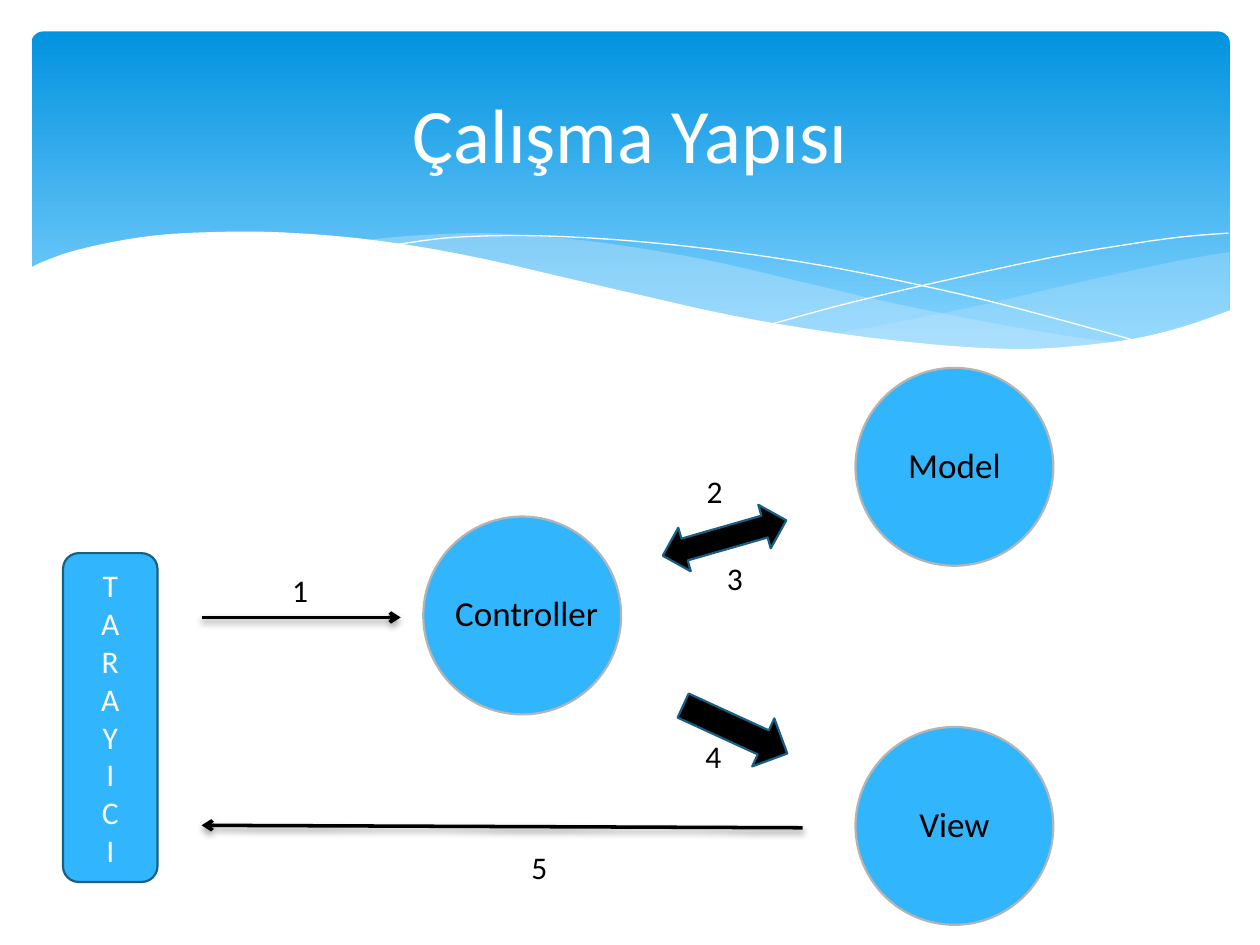
from dataclasses import dataclass

import pptx
import pptx.dml.color
import pptx.enum.shapes
import pptx.enum.text
import pptx.util
from lxml import etree

Inches, Pt = pptx.util.Inches, pptx.util.Pt
RGBColor = pptx.dml.color.RGBColor
SHAPE = pptx.enum.shapes.MSO_SHAPE
CENTER = pptx.enum.text.PP_ALIGN.CENTER
MIDDLE = pptx.enum.text.MSO_ANCHOR.MIDDLE

WHITE = RGBColor(0xFF, 0xFF, 0xFF)
BLACK = RGBColor(0x00, 0x00, 0x00)
BLUE = RGBColor(0x31, 0xB6, 0xFD)
DARK_BLUE = RGBColor(0x19, 0x5F, 0x84)
GREY = RGBColor(0xB4, 0xB4, 0xB4)
PALE_BLUE = RGBColor(0xC6, 0xE7, 0xFC)
SKY_TOP = RGBColor(0x02, 0x93, 0xE0)
SKY_BOTTOM = RGBColor(0x83, 0xD3, 0xFE)

FONT = "Calibri"
NS = "http://schemas.openxmlformats.org/drawingml/2006/main"
CIRCLE = 1.57

Point = tuple[float, float]


@dataclass
class Wave:
    """Smooth curves joined end to end; filled if it has a colour, else a hairline."""
    curves: list[list[Point]]
    fill: RGBColor | None = None
    opacity: int = 100


@dataclass
class Node:
    name: str
    x: float
    y: float
    label_x: float
    label_w: float


@dataclass
class BlockArrow:
    kind: SHAPE
    x: float
    y: float
    w: float
    h: float
    rotation: float


@dataclass
class Step:
    number: str
    x: float
    y: float
    w: float


WAVES = [
    Wave([[(9.76, 2), (9.35, 2.07), (8.61, 2.23), (7.79, 2.42), (7.06, 2.57), (6.61, 2.65)],
          [(6.61, 2.65), (7.05, 2.71), (7.57, 2.76), (8.03, 2.78), (8.54, 2.76),
           (8.97, 2.7), (9.35, 2.62), (9.76, 2.47)]], PALE_BLUE, 29),
    Wave([[(8.93, 2.73), (8.37, 2.65), (7.75, 2.54), (7.06, 2.4), (6.29, 2.22), (5.69, 2.08),
           (5.14, 1.98), (4.65, 1.91), (4.2, 1.87), (3.8, 1.85), (3.28, 1.87), (2.86, 1.91)],
          [(2.86, 1.91), (3.42, 1.99), (4.04, 2.11), (4.91, 2.32), (5.66, 2.48), (6.34, 2.61),
           (6.95, 2.7), (7.48, 2.76), (8.07, 2.78), (8.57, 2.77), (8.93, 2.73)]],
         PALE_BLUE, 40),
    Wave([[(3.09, 1.95), (3.53, 1.89), (4.01, 1.87), (4.5, 1.88), (5.1, 1.92), (5.82, 2),
           (6.65, 2.13), (7.6, 2.33), (8.31, 2.51), (9.07, 2.72)]]),
    Wave([[(6.13, 2.57), (6.72, 2.41), (7.48, 2.23), (8.36, 2.04), (8.95, 1.94),
           (9.38, 1.88), (9.75, 1.85)]]),
    Wave([[(9.77, 2.46), (9.4, 2.59), (8.99, 2.69), (8.5, 2.75), (8.09, 2.77), (7.61, 2.75),
           (7.08, 2.7), (6.48, 2.62), (5.79, 2.5), (5.03, 2.33), (4.47, 2.2), (3.91, 2.07),
           (3.4, 1.97), (2.92, 1.9), (2.5, 1.86), (2.11, 1.84), (1.77, 1.84), (1.32, 1.86),
           (0.95, 1.91), (0.59, 1.99), (0.36, 2.07), (0.23, 2.13)],
          [(0.23, 3.29), (9.77, 3.29)]], WHITE),
]
NODES = [
    Node("Controller", 3.36, 4.1, 3.36, 1.64),
    Node("Model", 6.79, 2.92, 6.7, 1.75),
    Node("View", 6.79, 5.77, 6.7, 1.75),
]
BLOCK_ARROWS = [
    BlockArrow(SHAPE.UP_DOWN_ARROW, 5.57, 3.76, 0.36, 1.02, 254),
    BlockArrow(SHAPE.RIGHT_ARROW, 5.38, 5.58, 0.91, 0.42, 24.7),
]
ARROWS = [((1.6, 4.9), (3.18, 4.9)), ((6.37, 6.57), (1.6, 6.55))]
STEPS = [
    Step("1", 2.22, 4.48, 0.29),
    Step("2", 5.51, 3.7, 0.32),
    Step("3", 5.67, 4.39, 0.32),
    Step("4", 5.5, 5.8, 0.34),
    Step("5", 4.12, 6.68, 0.34),
]


def smooth(pts: list[Point], steps: int = 6) -> list[Point]:
    """Catmull-Rom curve through the points."""
    ends = [pts[0], *pts, pts[-1]]
    out = [pts[0]]
    for a, b, c, d in zip(ends, ends[1:], ends[2:], ends[3:]):
        for i in range(1, steps + 1):
            t = i / steps
            out.append(tuple(
                q + t / 2 * (r - p + t * (2 * p - 5 * q + 4 * r - s + t * (3 * (q - r) + s - p)))
                for p, q, r, s in zip(a, b, c, d)))
    return out


def add_shape(shapes, kind: SHAPE, x: float, y: float, w: float, h: float,
              fill: RGBColor, line: RGBColor):
    s = shapes.add_shape(kind, Inches(x), Inches(y), Inches(w), Inches(h))
    s.shadow.inherit = False
    s.fill.solid()
    s.fill.fore_color.rgb = fill
    s.line.color.rgb = line
    s.line.width = Pt(1.25)
    return s


def add_run(p, text: str, size: float, color: RGBColor) -> None:
    r = p.add_run()
    r.text = text
    r.font.name = FONT
    r.font.size = Pt(size)
    r.font.color.rgb = color


def add_sky(shapes) -> None:
    s = add_shape(shapes, SHAPE.ROUNDED_RECTANGLE, 0.25, 0.25, 9.51, 2.7, SKY_TOP, SKY_TOP)
    s.adjustments[0] = 0.034
    s.line.fill.background()
    s.fill.gradient()
    s.fill.gradient_angle = 270
    for stop, pos, color in zip(s.fill.gradient_stops, (0, 0.9), (SKY_TOP, SKY_BOTTOM)):
        stop.position = pos
        stop.color.rgb = color


def add_wave(shapes, wave: Wave) -> None:
    pts = [(Inches(x), Inches(y)) for curve in wave.curves for x, y in smooth(curve)]
    builder = shapes.build_freeform(*pts[0])
    builder.add_line_segments(pts[1:], close=wave.fill is not None)
    s = builder.convert_to_shape()
    s.shadow.inherit = False
    if wave.fill is None:
        s.fill.background()
        s.line.color.rgb = WHITE
        s.line.width = Pt(0)
        return
    s.line.fill.background()
    s.fill.solid()
    s.fill.fore_color.rgb = wave.fill
    color = s.element.spPr.find(f"{{{NS}}}solidFill/{{{NS}}}srgbClr")
    etree.SubElement(color, f"{{{NS}}}alpha", val=str(wave.opacity * 1000))


def add_node(shapes, node: Node) -> None:
    add_shape(shapes, SHAPE.OVAL, node.x, node.y, CIRCLE, CIRCLE, BLUE, GREY)
    box = shapes.add_textbox(Inches(node.label_x), Inches(node.y + 0.23),
                             Inches(node.label_w), Inches(1.11))
    tf = box.text_frame
    tf.word_wrap = True
    tf.vertical_anchor = MIDDLE
    tf.margin_left = tf.margin_right = tf.margin_top = tf.margin_bottom = Inches(0.02)
    p = tf.paragraphs[0]
    p.alignment = CENTER
    p.line_spacing = 0.9
    add_run(p, node.name, 20, BLACK)


def add_arrow(shapes, start: Point, end: Point) -> None:
    c = shapes.add_connector(pptx.enum.shapes.MSO_CONNECTOR.STRAIGHT,
                             *(Inches(v) for v in (*start, *end)))
    c.line.color.rgb = BLACK
    c.line.width = Pt(2)
    etree.SubElement(c.line._get_or_add_ln(), f"{{{NS}}}tailEnd", type="arrow")
    effects = etree.SubElement(c.element.spPr, f"{{{NS}}}effectLst")
    shadow = etree.SubElement(effects, f"{{{NS}}}outerShdw", blurRad=str(Pt(4)),
                              dist=str(Pt(2)), dir="5400000", rotWithShape="0")
    color = etree.SubElement(shadow, f"{{{NS}}}srgbClr", val=str(BLACK))
    etree.SubElement(color, f"{{{NS}}}alpha", val="38000")


def add_step(shapes, step: Step) -> None:
    box = shapes.add_textbox(Inches(step.x), Inches(step.y), Inches(step.w), Inches(0.4))
    tf = box.text_frame
    tf.word_wrap = False
    tf.auto_size = pptx.enum.text.MSO_AUTO_SIZE.SHAPE_TO_FIT_TEXT
    add_run(tf.paragraphs[0], step.number, 18, BLACK)


def add_browser(shapes) -> None:
    s = add_shape(shapes, SHAPE.ROUNDED_RECTANGLE, 0.5, 4.39, 0.75, 2.61, BLUE, DARK_BLUE)
    s.text_frame.vertical_anchor = MIDDLE
    p = s.text_frame.paragraphs[0]
    p.alignment = CENTER
    for i, letter in enumerate("TARAYICI"):
        if i:
            p.add_line_break()
        add_run(p, letter, 18, WHITE)


def add_title(slide, text: str) -> None:
    title = slide.shapes.title
    slide.shapes.element.append(title.element)  # bring in front of the waves
    title.left, title.top, title.width, title.height = map(Inches, (0.5, 0.37, 9, 1.37))
    title.text_frame.vertical_anchor = MIDDLE
    p = title.text_frame.paragraphs[0]
    p.alignment = CENTER
    add_run(p, text, 44, WHITE)


def main() -> None:
    prs = pptx.Presentation()
    prs.slide_width, prs.slide_height = Inches(10), Inches(7.5)
    slide = prs.slides.add_slide(prs.slide_layouts[5])
    shapes = slide.shapes
    add_sky(shapes)
    for wave in WAVES:
        add_wave(shapes, wave)
    add_title(slide, "Çalışma Yapısı")
    for node in NODES:
        add_node(shapes, node)
    for a in BLOCK_ARROWS:
        s = add_shape(shapes, a.kind, a.x, a.y, a.w, a.h, BLACK, DARK_BLUE)
        s.rotation = a.rotation
    for start, end in ARROWS:
        add_arrow(shapes, start, end)
    for step in STEPS:
        add_step(shapes, step)
    add_browser(shapes)
    prs.save("out.pptx")


if __name__ == "__main__":
    main()
